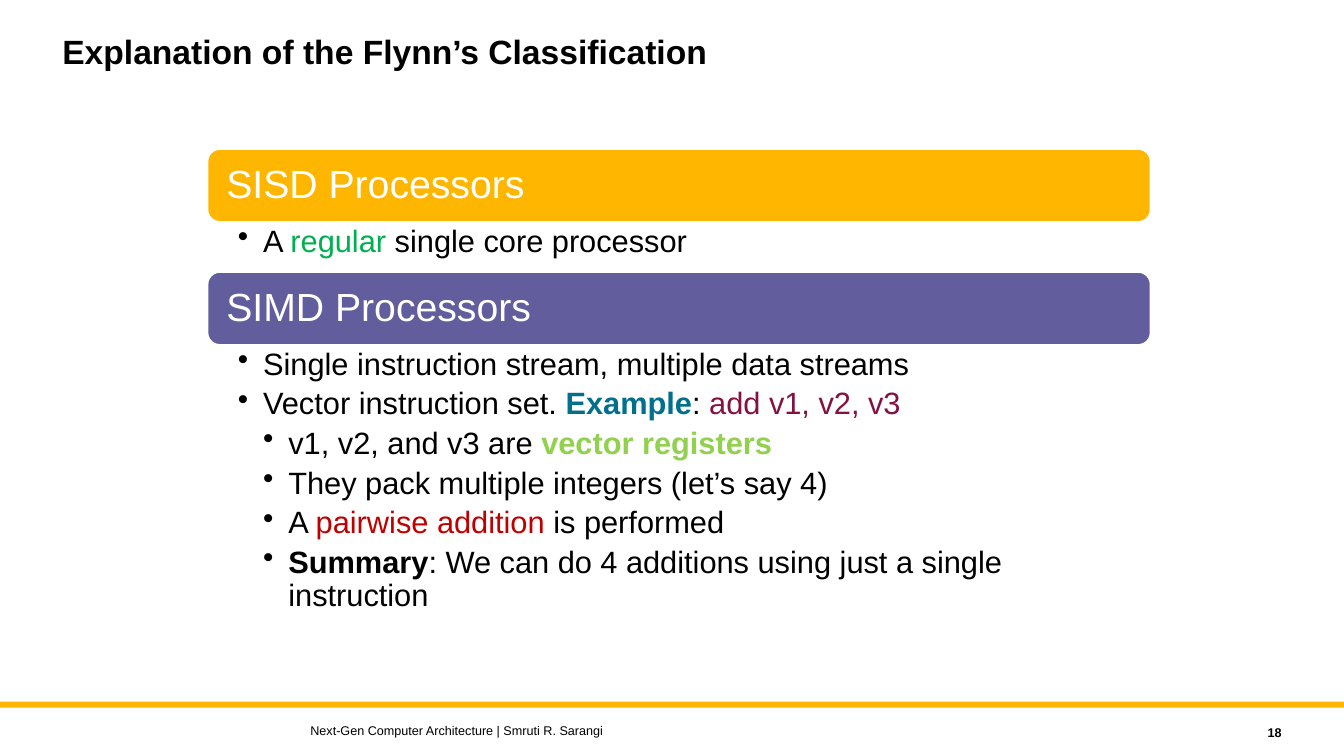
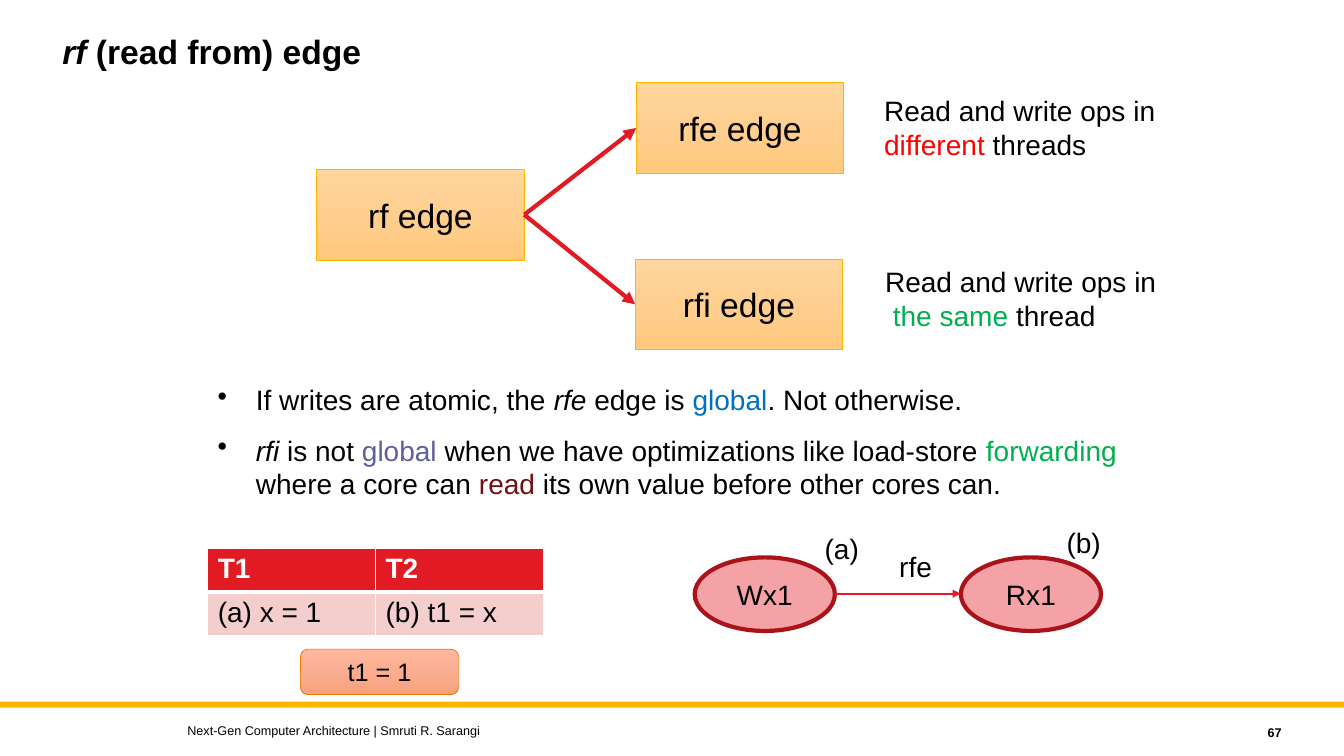
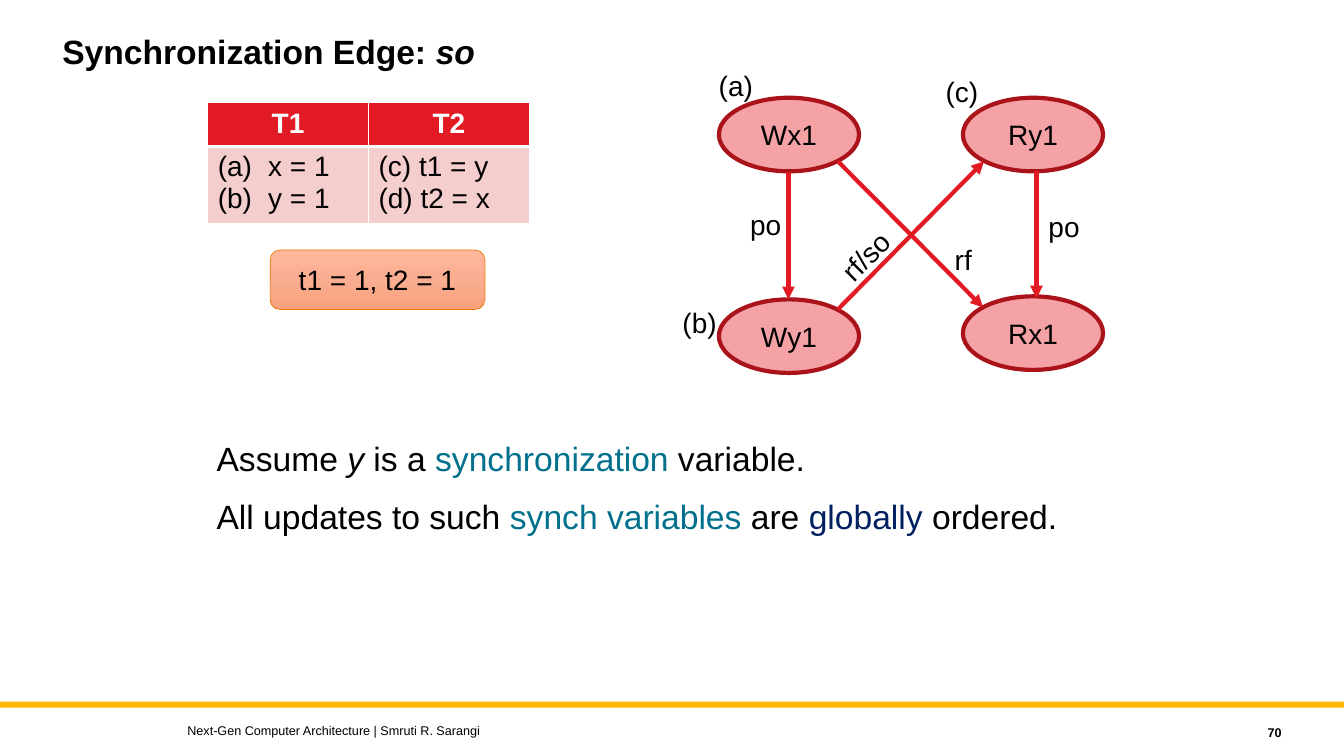
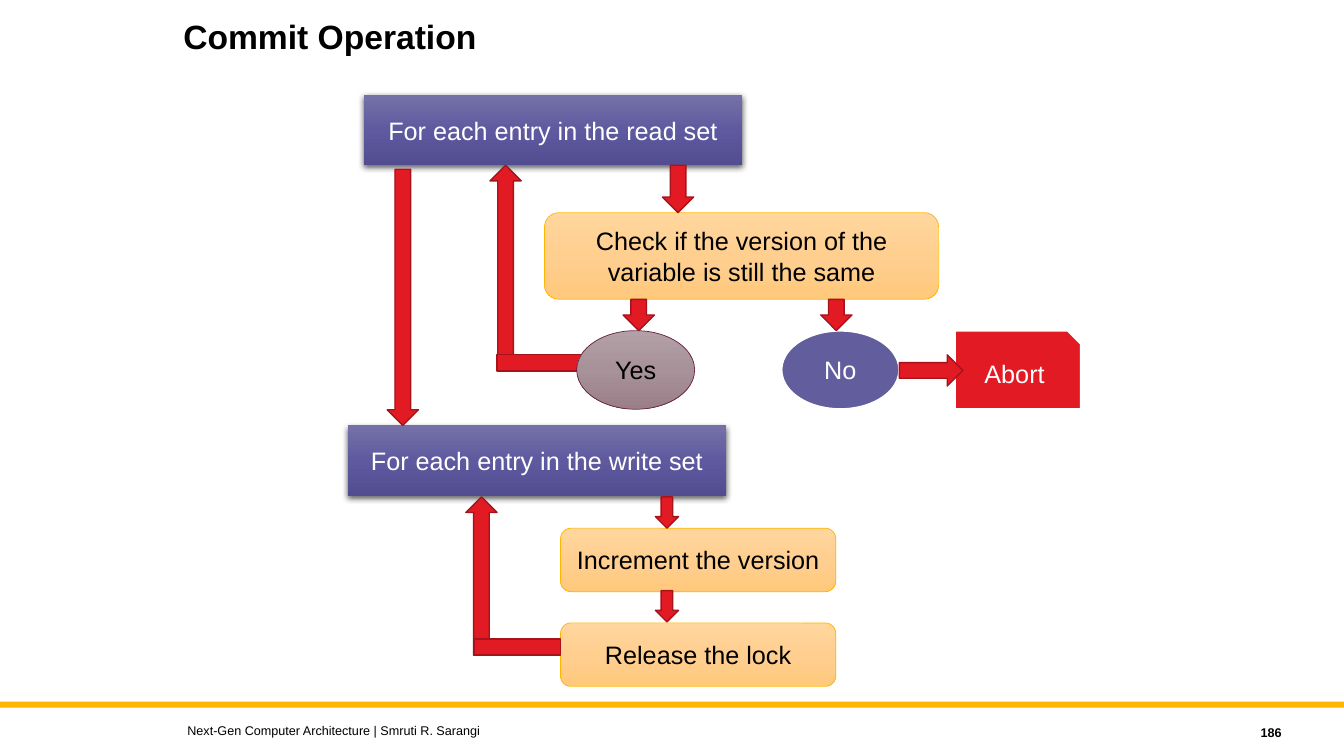
from dataclasses import dataclass
from typing import NamedTuple, Optional

from lxml import etree
from copy import deepcopy
from pptx import Presentation
from pptx import util as u
from pptx.dml import color as col
from pptx.enum import shapes, text
from pptx.oxml import ns
from pptx.slide import Slide

# Shared look
FONT = "Arial"
BLACK, WHITE = "000000", "FFFFFF"
GOLD, PURPLE, RED, DARK = "FFB600", "625D9C", "E21A23", "A7131A"
GREEN, TEAL = "00B050", "01708C"
PINK, ROSE, RIM = "F4A2A6", "F4CDCD", "AA131A"
AMBER = ("FFD69E", "FFCF90", "FFC97C")
CORAL = ("FFB89D", "FAAD90", "F9A17C")
VIOLET = ("7571A8", "5F5A9F", "524D90")
MAUVE = ("B39FA6", "A7929A", "9B7E88")
FOOTER = "Next-Gen Computer Architecture | Smruti R. Sarangi"
FORM = shapes.MSO_SHAPE
MID, TOP = text.MSO_ANCHOR.MIDDLE, text.MSO_ANCHOR.TOP
LEFT, MIDST, RIGHT = text.PP_ALIGN.LEFT, text.PP_ALIGN.CENTER, text.PP_ALIGN.RIGHT


class Run(NamedTuple):
    words: str
    color: str = BLACK
    bold: bool = False
    ital: bool = False


@dataclass
class Para:
    runs: list[Run]
    size: float
    align: text.PP_ALIGN = LEFT
    before: float = 0
    after: float = 0
    lead: Optional[float] = None
    margin: float = 0
    hang: float = 0
    mark: str = ""


class Box(NamedTuple):
    left: float
    top: float
    wide: float
    high: float


@dataclass
class Look:
    form: shapes.MSO_SHAPE
    fill: str | tuple[str, str, str]
    line: Optional[str] = None
    width: float = 1
    ink: str = BLACK
    size: float = 18
    shade: bool = False


BAND = Look(FORM.RECTANGLE, GOLD)
EDGE = Look(FORM.RECTANGLE, AMBER, GOLD, 0.5, size=24)
STEP = Look(FORM.ROUNDED_RECTANGLE, AMBER, GOLD, 0.5)
LOOP = Look(FORM.RECTANGLE, VIOLET, ink=WHITE, shade=True)
NODE = Look(FORM.OVAL, PINK, RIM, 3, size=20)


def rgb(code: str) -> col.RGBColor:
    return col.RGBColor.from_string(code)


def place(box: Box) -> list[u.Length]:
    return [u.Inches(v) for v in box]


def sub(node, tag: str, **attrs):
    return etree.SubElement(node, ns.qn(tag), attrs)


# Text
def write(frame, paras: list[Para], anchor=TOP) -> None:
    frame.word_wrap = True
    frame.vertical_anchor = anchor
    for i, para in enumerate(paras):
        p = frame.paragraphs[0] if i == 0 else frame.add_paragraph()
        p.alignment = para.align
        if para.mark:
            props = p._p.get_or_add_pPr()
            props.set("marL", str(u.Inches(para.margin)))
            props.set("indent", str(-u.Inches(para.hang)))
            if para.mark == "(a)":
                sub(props, "a:buAutoNum", type="alphaLcParenBoth")
            else:
                sub(props, "a:buChar", char=para.mark)
        p.space_before = u.Pt(para.before if i else 0)
        p.space_after = u.Pt(para.after)
        if para.lead:
            p.line_spacing = para.lead
        for part in para.runs:
            r = p.add_run()
            r.text = part.words
            r.font.name, r.font.size = FONT, u.Pt(para.size)
            r.font.bold, r.font.italic = part.bold, part.ital
            r.font.color.rgb = rgb(part.color)


def note(slide: Slide, box: Box, paras: list[Para], anchor=TOP):
    shape = slide.shapes.add_textbox(*place(box))
    write(shape.text_frame, paras, anchor)
    return shape


def label(slide: Slide, left: float, top: float, words: str, turn: float = 0) -> None:
    note(slide, Box(left, top, 1.25, 0.44), [Para([Run(words)], 20)]).rotation = turn


# Shapes and lines
def draw(slide: Slide, box: Box, look: Look, words: str = ""):
    shape = slide.shapes.add_shape(look.form, *place(box))
    shape.shadow.inherit = False
    if isinstance(look.fill, str):
        shape.fill.solid()
        shape.fill.fore_color.rgb = rgb(look.fill)
    else:
        shape.fill.gradient()
        shape.fill.gradient_angle = 270
        stops = shape._element.spPr.find(".//" + ns.qn("a:gsLst"))
        stops.insert(1, deepcopy(stops[0]))
        for i, stop in enumerate(shape.fill.gradient_stops):
            stop.color.rgb = rgb(look.fill[i])
            stop.position = i / 2
    if look.line:
        shape.line.color.rgb = rgb(look.line)
        shape.line.width = u.Pt(look.width)
    else:
        shape.line.fill.background()
    if look.shade:
        effect = shape._element.spPr.find(ns.qn("a:effectLst"))
        cast = sub(effect, "a:outerShdw", blurRad=str(u.Pt(4.5)), dist=str(u.Pt(1.5)),
                   dir="5400000", rotWithShape="0")
        sub(sub(cast, "a:srgbClr", val=BLACK), "a:alpha", val="63000")
    if words:
        write(shape.text_frame, [Para([Run(words, look.ink)], look.size, MIDST)], MID)
    return shape


def arrow(slide: Slide, x1: float, y1: float, x2: float, y2: float, width: float = 3):
    line = slide.shapes.add_connector(shapes.MSO_CONNECTOR.STRAIGHT,
                                      *(u.Inches(v) for v in (x1, y1, x2, y2)))
    line.line.color.rgb = rgb(RED)
    line.line.width = u.Pt(width)
    sub(line.line._get_or_add_ln(), "a:tailEnd", type="triangle")
    sub(line._element.spPr, "a:effectLst")
    return line


# Tables
def border(cell, low: float) -> None:
    props = cell._tc.get_or_add_tcPr()
    for i, (side, width) in enumerate((("L", 1), ("R", 1), ("T", 1), ("B", low))):
        line = etree.Element(ns.qn("a:ln" + side), w=str(u.Pt(width)))
        sub(sub(line, "a:solidFill"), "a:srgbClr", val=WHITE)
        props.insert(i, line)


def grid(slide: Slide, left: float, top: float, wide: float, highs: list[float],
         cells: list[list[list[Para]]]) -> None:
    box = Box(left, top, wide, sum(highs))
    table = slide.shapes.add_table(len(cells), len(cells[0]), *place(box)).table
    for i, row in enumerate(cells):
        table.rows[i].height = u.Inches(highs[i])
        for j, paras in enumerate(row):
            cell = table.cell(i, j)
            cell.fill.solid()
            cell.fill.fore_color.rgb = rgb(ROSE if i else RED)
            border(cell, 1 if i else 3)
            write(cell.text_frame, paras)


def heads(align=LEFT) -> list[list[Para]]:
    return [[Para([Run(name, WHITE, True)], 20, align)] for name in ("T1", "T2")]


# Common slide frame
def start(prs, title: list[Run], page: str, foot: float = 1.76,
          left: float = 0.52, top: float = 0.3) -> Slide:
    slide = prs.slides.add_slide(prs.slide_layouts[6])
    draw(slide, Box(0, 6.96, 13.33, 0.06), BAND)
    bold = [r._replace(bold=True) for r in title]
    note(slide, Box(left, top, 10, 0.9), [Para(bold, 24, lead=0.9)])
    note(slide, Box(foot, 7.12, 7.48, 0.25), [Para([Run(FOOTER)], 9)], MID)
    note(slide, Box(11.41, 7.14, 1.4, 0.25), [Para([Run(page, bold=True)], 9, RIGHT)], MID)
    return slide


def flynn(prs) -> None:
    slide = start(prs, [Run("Explanation of the Flynn’s Classification")], "18", 2.98)

    def item(level: int, *runs: Run) -> Para:
        return Para(list(runs), 22, after=4.5, lead=0.9,
                    margin=level * 0.25, hang=0.25, mark="•")

    parts = [
        ("SISD Processors", GOLD, 1.48, 0.51, [
            item(1, Run("A "), Run("regular", GREEN), Run(" single core processor"))]),
        ("SIMD Processors", PURPLE, 2.7, 2.66, [
            item(1, Run("Single instruction stream, multiple data streams")),
            item(1, Run("Vector instruction set. "), Run("Example", TEAL, True),
                 Run(": "), Run("add v1, v2, v3", "831242")),
            item(2, Run("v1, v2, and v3 are "), Run("vector registers", "92D050", True)),
            item(2, Run("They pack multiple integers (let’s say 4)")),
            item(2, Run("A "), Run("pairwise addition ", "C00000"), Run("is performed")),
            item(2, Run("Summary", bold=True),
                 Run(": We can do 4 additions using just a single instruction"))]),
    ]
    for name, fill, top, high, items in parts:
        bar = draw(slide, Box(2.06, top, 9.35, 0.72),
                   Look(FORM.ROUNDED_RECTANGLE, fill, WHITE))
        bar.text_frame.margin_left = u.Inches(0.15)
        write(bar.text_frame, [Para([Run(name, WHITE)], 28, lead=0.9)], MID)
        frame = note(slide, Box(2.06, top + 0.72, 9.35, high), items).text_frame
        frame.margin_left, frame.margin_right = u.Inches(0.3), u.Inches(0.22)
        frame.margin_top = frame.margin_bottom = u.Inches(0.04)


def reads(prs) -> None:
    slide = start(prs, [Run("rf ", ital=True), Run("(read from) edge")], "67")

    # Edge tree
    root, far, near = (draw(slide, Box(x, y, 2.06, 0.9), EDGE, name) for x, y, name in (
        (3.14, 1.68, "rf edge"), (6.31, 0.82, "rfe edge"), (6.3, 2.57, "rfi edge")))
    for leaf in (far, near):
        line = arrow(slide, 5.2, 2.13, 6.3, 2.13)
        line.begin_connect(root, 3)
        line.end_connect(leaf, 1)
    note(slide, Box(8.67, 0.88, 3.53, 0.77), [
        Para([Run("Read and write ops in "), Run("different", "FF0000"), Run(" threads")], 20)])
    note(slide, Box(8.68, 2.58, 3.53, 0.77), [
        Para([Run("Read and write ops in")], 20),
        Para([Run(" "), Run("the same ", GREEN), Run("thread")], 20)])

    # Rules
    rules = [
        [Run("If writes are atomic, the "), Run("rfe ", ital=True), Run("edge is "),
         Run("global", "0070C0"), Run(". Not otherwise.")],
        [Run("rfi ", ital=True), Run("is not "), Run("global", PURPLE),
         Run(" when we have optimizations like load-store "), Run("forwarding", GREEN),
         Run(" where a core can "), Run("read", "720F11"),
         Run(" its own value before other cores can.")],
    ]
    note(slide, Box(2.06, 3.75, 9.45, 1.41), [
        Para(runs, 20, before=12, margin=0.38, hang=0.38, mark="•") for runs in rules])

    # Example
    grid(slide, 2.06, 5.44, 3.33, [0.41, 0.41], [
        heads(), [[Para([Run(s)], 20)] for s in ("(a) x = 1", "(b) t1 = x")]])
    draw(slide, Box(2.98, 6.44, 1.57, 0.45),
         Look(FORM.ROUNDED_RECTANGLE, CORAL, "EC7700", 0.5), "t1 = 1")
    for x, name in ((6.89, "Wx1"), (9.53, "Rx1")):
        draw(slide, Box(x, 5.53, 1.39, 0.73), NODE, name)
    arrow(slide, 8.28, 5.89, 9.53, 5.89, 1.5)
    for x, y, name in ((8.08, 5.22, "(a)"), (10.48, 5.16, "(b)"), (8.82, 5.4, "rfe")):
        label(slide, x, y, name)


def sync(prs) -> None:
    slide = start(prs, [Run("Synchronization Edge: "), Run("so", ital=True)], "70")
    lines = [
        [Run("Assume "), Run("y ", ital=True), Run("is a "),
         Run("synchronization", TEAL), Run(" variable.")],
        [Run("All updates to such "), Run("synch variables ", TEAL), Run("are "),
         Run("globally", "002060"), Run(" ordered.")],
    ]
    note(slide, Box(2.05, 4.3, 9.1, 1.8), [Para(runs, 24, before=12) for runs in lines])

    # Threads
    grid(slide, 2.06, 1.02, 3.19, [0.41, 0.71], [
        heads(MIDST),
        [[Para([Run(s)], 20, margin=0.5, hang=0.5, mark="(a)") for s in ("x = 1", "y = 1")],
         [Para([Run(s)], 20) for s in ("(c) t1 = y", "(d) t2 = x")]]])
    draw(slide, Box(2.68, 2.48, 2.13, 0.59),
         Look(FORM.ROUNDED_RECTANGLE, CORAL, "EC7700", 0.5, size=20), "t1 = 1, t2 = 1")

    # Graph
    for x, y, name in ((7.13, 0.97, "Wx1"), (7.13, 2.97, "Wy1"),
                       (9.55, 0.97, "Ry1"), (9.55, 2.94, "Rx1")):
        draw(slide, Box(x, y, 1.39, 0.73), NODE, name)
    for ends in ((7.82, 1.71, 7.82, 2.97), (8.31, 1.6, 9.75, 3.05),
                 (8.31, 3.07, 9.76, 1.6), (10.28, 1.7, 10.28, 2.96)):
        arrow(slide, *ends)
    for x, y, name in ((7.34, 2.01, "po"), (10.3, 2.03, "po"), (9.37, 2.36, "rf"),
                       (7.03, 0.63, "(a)"), (6.67, 2.98, "(b)"), (9.28, 0.69, "(c)")):
        label(slide, x, y, name)
    label(slide, 8.14, 2.14, "rf/so", 314.9)


def commit(prs) -> None:
    slide = start(prs, [Run("Commit Operation")], "186", left=1.72, top=0.15)

    # Steps
    steps = [
        (Box(3.61, 0.94, 3.75, 0.7), LOOP, "For each entry in the read set"),
        (Box(3.45, 4.22, 3.75, 0.7), LOOP, "For each entry in the write set"),
        (Box(5.4, 2.11, 3.91, 0.86), STEP,
         "Check if the version of the variable is still the same"),
        (Box(5.56, 5.24, 2.73, 0.63), STEP, "Increment the version"),
        (Box(5.56, 6.18, 2.73, 0.63), STEP, "Release the lock"),
        (Box(7.75, 3.28, 1.17, 0.78), Look(FORM.OVAL, PURPLE, WHITE, 1.5, WHITE), "No"),
        (Box(9.47, 3.28, 1.25, 0.78),
         Look(FORM.SNIP_1_RECTANGLE, RED, WHITE, 1.5, WHITE), "Abort"),
    ]
    for box, look, words in steps:
        draw(slide, box, look, words)

    # Flow arrows
    flows = {
        FORM.DOWN_ARROW: [
            Box(6.57, 1.64, 0.31, 0.47), Box(6.18, 2.97, 0.31, 0.31),
            Box(8.14, 2.97, 0.31, 0.31), Box(3.84, 1.68, 0.31, 2.54),
            Box(6.5, 4.93, 0.23, 0.31), Box(6.5, 5.86, 0.23, 0.31)],
        FORM.UP_ARROW: [Box(4.86, 1.64, 0.31, 2.03), Box(4.62, 4.93, 0.31, 1.57)],
        FORM.RECTANGLE: [Box(4.93, 3.52, 0.86, 0.16), Box(4.7, 6.34, 0.86, 0.16)],
        FORM.RIGHT_ARROW: [Box(8.92, 3.52, 0.63, 0.31)],
    }
    for form, boxes in flows.items():
        for box in boxes:
            draw(slide, box, Look(form, RED, DARK))
    draw(slide, Box(5.72, 3.28, 1.17, 0.78), Look(FORM.OVAL, MAUVE, "692146", 0.5), "Yes")


def main() -> None:
    prs = Presentation()
    prs.slide_width, prs.slide_height = u.Inches(13.33), u.Inches(7.5)
    for build in (flynn, reads, sync, commit):
        build(prs)
    prs.save("out.pptx")


if __name__ == "__main__":
    main()
